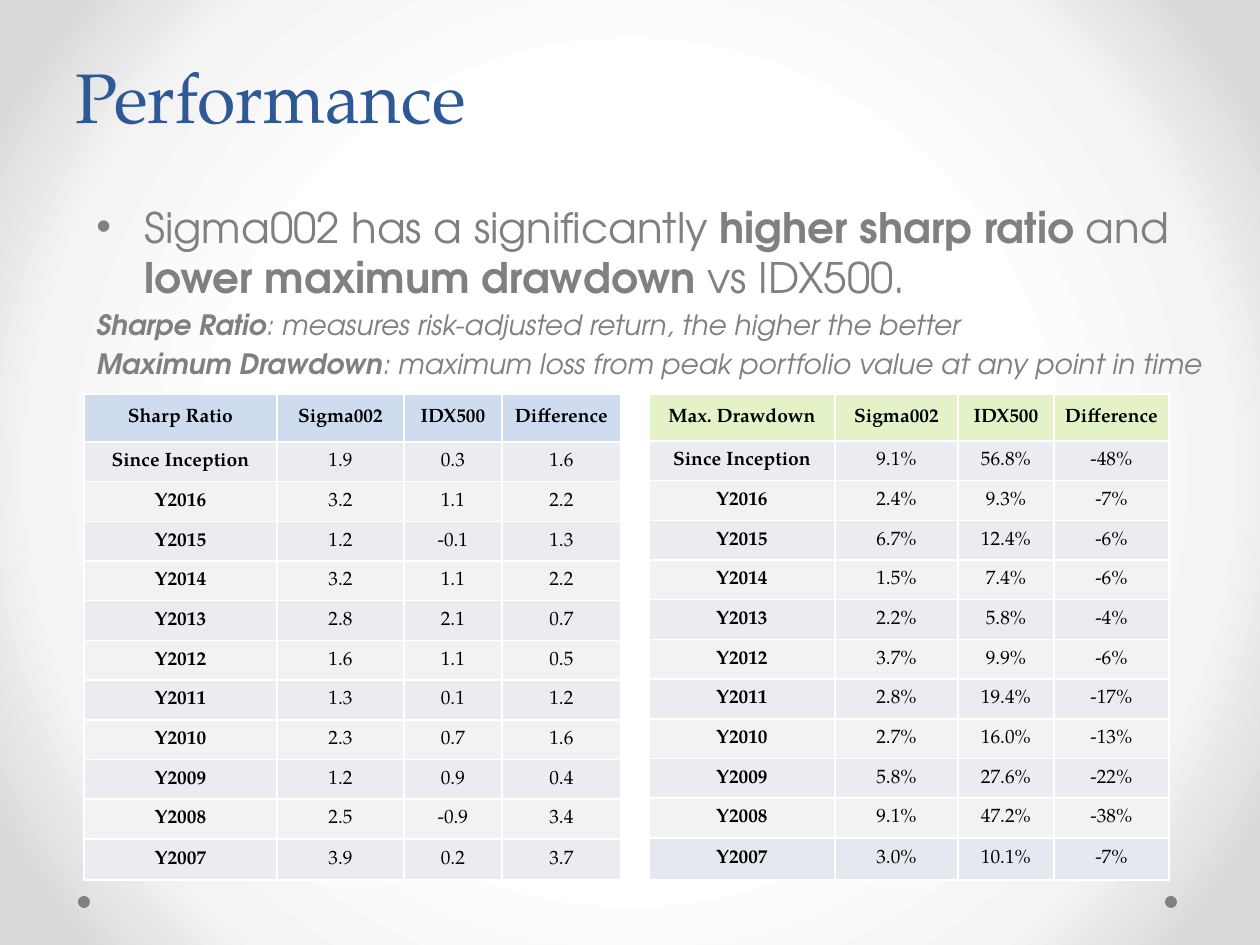
from lxml import etree
from pptx import Presentation
from pptx.dml.color import RGBColor
from pptx.enum.shapes import MSO_SHAPE
from pptx.enum.text import MSO_ANCHOR, PP_ALIGN
from pptx.oxml import parse_xml
from pptx.oxml.ns import nsdecls, qn
from pptx.util import Pt

CENTER = PP_ALIGN.CENTER
MIDDLE = MSO_ANCHOR.MIDDLE
OVAL = MSO_SHAPE.OVAL
SERIF, SANS = "TeX Gyre Pagella", "TeX Gyre Adventor"


def px(length):
    return round(length * 914400 / 126)


def add_run(paragraph, text, color, **formats):
    run = paragraph.add_run()
    run.text = text
    run.font.color.rgb = RGBColor.from_string(color)
    for attribute, value in formats.items():
        setattr(run.font, attribute, value)


prs = Presentation()
prs.slide_width, prs.slide_height = px(1260), px(945)
slide = prs.slides.add_slide(prs.slide_layouts[6])

# Background: white centre fading to grey corners
stops = "".join(
    f'<a:gs pos="{percent * 1000}"><a:srgbClr val="{color}"/></a:gs>'
    for percent, color in ((50, "FFFFFF"), (76, "F4F4F4"), (92, "DADADA"))
)
background = parse_xml(
    f'<p:bg {nsdecls("p", "a")}><p:bgPr><a:gradFill rotWithShape="1"><a:gsLst>{stops}</a:gsLst>'
    '<a:path path="circle"><a:fillToRect l="50000" t="50000" r="50000" b="50000"/></a:path>'
    "</a:gradFill><a:effectLst/></p:bgPr></p:bg>"
)
slide.element.cSld.insert(0, background)

# Corner dots
for left in (1165, 78):
    dot = slide.shapes.add_shape(OVAL, px(left), px(896), px(12), px(12))
    dot.shadow.inherit = False
    dot.fill.solid()
    dot.fill.fore_color.rgb = RGBColor.from_string("808080")
    dot.line.fill.background()

# Tables: one row of values per period, columns as in the header
periods = ["Since Inception"] + [f"Y{year}" for year in range(2016, 2006, -1)]
sharpe_values = [
    "1.9 0.3 1.6", "3.2 1.1 2.2", "1.2 -0.1 1.3", "3.2 1.1 2.2",
    "2.8 2.1 0.7", "1.6 1.1 0.5", "1.3 0.1 1.2", "2.3 0.7 1.6",
    "1.2 0.9 0.4", "2.5 -0.9 3.4", "3.9 0.2 3.7",
]
drawdown_values = [
    "9.1% 56.8% -48%", "2.4% 9.3% -7%", "6.7% 12.4% -6%", "1.5% 7.4% -6%",
    "2.2% 5.8% -4%", "3.7% 9.9% -6%", "2.8% 19.4% -17%", "2.7% 16.0% -13%",
    "5.8% 27.6% -22%", "9.1% 47.2% -38%", "3.0% 10.1% -7%",
]
tables = [
    ("Sharp Ratio", sharpe_values, 84, (193, 127, 98, 119), 48, "CFDCF0", "EAECF2"),
    ("Max. Drawdown", drawdown_values, 649, (186, 123, 96, 115), 47, "E3F2C7", "E4E9EF"),
]
TABLE_HEIGHT, YEARS_HEIGHT = 486, 397
cell_format = {
    "vertical_anchor": MIDDLE,
    "margin_left": px(1), "margin_right": px(1),
    "margin_top": px(1), "margin_bottom": 0,
}

for measure, values, left, widths, header_height, header_fill, last_fill in tables:
    rows = [[measure, "Sigma002", "IDX500", "Difference"]]
    rows += [[period, *line.split()] for period, line in zip(periods, values)]
    table = slide.shapes.add_table(
        len(rows), len(widths), px(left), px(394), px(sum(widths)), px(TABLE_HEIGHT)
    ).table
    table.first_row = table.horz_banding = False
    for column, width in zip(table.columns, widths):
        column.width = px(width)

    last_height = TABLE_HEIGHT - header_height - YEARS_HEIGHT
    heights = [header_height] + [YEARS_HEIGHT / 10] * 10 + [last_height]
    fills = [header_fill] + ["EAECF2", "F2F2F2"] * 5 + [last_fill]
    for r, texts in enumerate(rows):
        table.rows[r].height = px(heights[r])
        for c, text in enumerate(texts):
            cell = table.cell(r, c)
            for attribute, value in cell_format.items():
                setattr(cell, attribute, value)
            paragraph = cell.text_frame.paragraphs[0]
            paragraph.alignment = CENTER
            add_run(paragraph, text, "000000", name=SERIF, size=Pt(11), bold=r == 0 or c == 0)
            properties = cell._tc.get_or_add_tcPr()
            for side in ("lnL", "lnR", "lnT", "lnB"):
                border = etree.SubElement(properties, qn(f"a:{side}"), w=str(Pt(1)))
                solid = etree.SubElement(border, qn("a:solidFill"))
                etree.SubElement(solid, qn("a:srgbClr"), val="FFFFFF")
            cell.fill.solid()
            cell.fill.fore_color.rgb = RGBColor.from_string(fills[r])

# Title
title = slide.shapes.add_textbox(px(63), 0, px(1134), px(174)).text_frame
title.word_wrap = True
title.vertical_anchor = MIDDLE
title.paragraphs[0].line_spacing = Pt(58)
add_run(title.paragraphs[0], "Performance", "2F5897", name=SERIF, size=Pt(40))

# Summary: the finding and two definitions, as (text, bold) pieces
summary = [
    (24, False, [
        ("Sigma002 has a significantly ", False), ("higher sharp ratio ", True), ("and ", False),
        ("lower maximum drawdown ", True), ("vs IDX500.", False),
    ]),
    (16, True, [
        ("Sharpe Ratio", True),
        (": measures risk-adjusted return, the higher the better", False),
    ]),
    (16, True, [
        ("Maximum Drawdown", True),
        (": maximum loss from peak portfolio value at any point in time", False),
    ]),
]
body = slide.shapes.add_textbox(px(84), px(195), px(1147), px(242)).text_frame
body.word_wrap = True
for i, (size, italic, pieces) in enumerate(summary):
    paragraph = body.add_paragraph() if i else body.paragraphs[0]
    paragraph.space_before = Pt(size * 0.2)
    for text, bold in pieces:
        add_run(paragraph, text, "808080", name=SANS, size=Pt(size), bold=bold, italic=italic)

# Bullet with hanging indent on the finding
finding = body.paragraphs[0]._p.get_or_add_pPr()
finding.set("marL", str(px(48)))
finding.set("indent", str(-px(48)))
etree.SubElement(finding, qn("a:buFont"), typeface="Arial")
etree.SubElement(finding, qn("a:buChar"), char="•")

prs.save("out.pptx")
